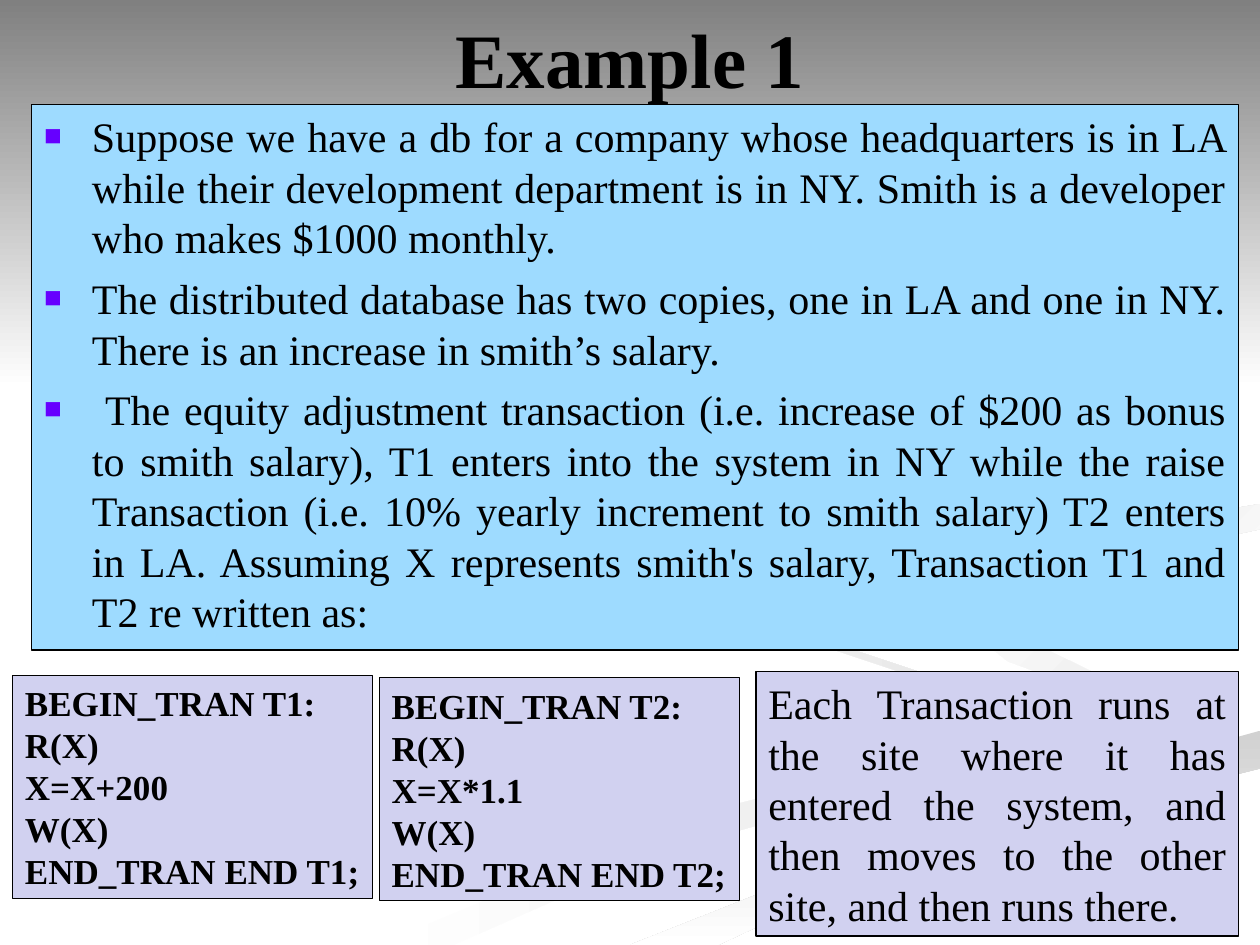
import pptx
import pptx.util
import pptx.dml.color
import pptx.enum.text
import pptx.enum.shapes
from lxml import etree

Inches = pptx.util.Inches
Pt = pptx.util.Pt
ALIGN = pptx.enum.text.PP_ALIGN
ANCHOR = pptx.enum.text.MSO_ANCHOR
FIT = pptx.enum.text.MSO_AUTO_SIZE
FONT = "Times New Roman"
WIDTH, HEIGHT = 10, 7.5

# Content
TITLE = "Example 1"
STORY = [
    "Suppose we have a db for a company whose headquarters is in LA while their "
    "development department is in NY. Smith is a developer who makes $1000 monthly. ",
    "The distributed database has two copies, one in LA and one in NY. "
    "There is an increase in smith’s salary.",
    " The equity adjustment transaction (i.e. increase of $200 as bonus to smith salary), "
    "T1 enters into the system in NY while the raise Transaction (i.e. 10% yearly increment "
    "to smith salary) T2 enters in LA. Assuming X represents smith's salary, "
    "Transaction T1 and T2 re written as:",
]
# name, update step, left, top
TRANSACTIONS = [("T1", "X=X+200", 0.1, 5.36), ("T2", "X=X*1.1", 3.01, 5.38)]
REMARK = ("Each Transaction runs at the site where it has entered the system, "
          "and then moves to the other site, and then runs there.")

# Background ribbons: gradient start, gradient end, clockwise angle, outline
RIBBONS = [
    ("FFFFFF", "E8E8E8", 0, [
        (5.75, 4.6), (6.3, 5.05), (7.8, 5.55), (7.3, 6), (5.4, 6.5), (3, HEIGHT),
        (3.6, HEIGHT), (5.3, 6.75), (7.8, 6.05), (7.8, 5.5), (6.3, 5)]),
    ("FFFFFF", "E8E8E8", 45, [
        (7.25, 4.65), (8, 5.25), (9.1, 5.65), (8.95, 6.05), (9.4, 5.7), (8.5, 5.25)]),
    ("D1D1D1", "FFFFFF", 90, [
        (5, HEIGHT), (5.7, HEIGHT), (7.2, 6.8), (WIDTH, 6.1), (WIDTH, 5.8), (7.65, 6.45)]),
    ("E0E0E0", "FFFFFF", 45, [
        (7.8, 4.6), (8.25, 4.95), (8.15, 4.6), (WIDTH, 4.2), (WIDTH, 4), (8.5, 4.25)]),
    ("808080", "FFFFFF", 90, [(0, 0), (0, 3.08), (WIDTH, 3.08), (WIDTH, 0)]),
]


def color(hex_code):
    return pptx.dml.color.RGBColor.from_string(hex_code)


def place(shape, left, top, width, height):
    shape.left, shape.top = Inches(left), Inches(top)
    shape.width, shape.height = Inches(width), Inches(height)


def frame_box(shape, fill):
    shape.fill.solid()
    shape.fill.fore_color.rgb = color(fill)
    shape.line.color.rgb = color("000000")
    shape.line.width = Pt(0.75)


def write(shape, lines, size, align, bold=False, anchor=ANCHOR.TOP):
    frame = shape.text_frame
    frame.text = "\n".join(lines)
    frame.vertical_anchor = anchor
    frame.auto_size = FIT.NONE
    for para in frame.paragraphs:
        para.alignment = align
        for span in para.runs:
            span.font.name = FONT
            span.font.size = Pt(size)
            span.font.bold = bold
            span.font.color.rgb = color("000000")


def add_bullet(para):
    properties = para._p.get_or_add_pPr()
    properties.set("marL", str(Inches(0.38)))
    properties.set("indent", str(-Inches(0.38)))
    namespace = "{http://schemas.openxmlformats.org/drawingml/2006/main}"
    bullet_color = etree.SubElement(properties, namespace + "buClr")
    etree.SubElement(bullet_color, namespace + "srgbClr", val="6600FF")
    etree.SubElement(properties, namespace + "buSzPct", val="70000")
    etree.SubElement(properties, namespace + "buFont", typeface=FONT)
    etree.SubElement(properties, namespace + "buChar", char="■")


def add_ribbon(page, start, end, angle, outline):
    points = [(Inches(x), Inches(y)) for x, y in outline]
    builder = page.shapes.build_freeform(*points[0])
    builder.add_line_segments(points[1:], close=True)
    ribbon = builder.convert_to_shape()
    ribbon.shadow.inherit = False
    ribbon.line.fill.background()
    ribbon.fill.gradient()
    ribbon.fill.gradient_angle = (360 - angle) % 360
    for stop, shade in zip(ribbon.fill.gradient_stops, (start, end)):
        stop.color.rgb = color(shade)
    # Keep the background behind the placeholders
    page.shapes.title.element.addprevious(ribbon.element)


def add_panel(page, lines, left, top, width, height, size, align, bold, wrap):
    panel = page.shapes.add_shape(
        pptx.enum.shapes.MSO_SHAPE.RECTANGLE,
        Inches(left), Inches(top), Inches(width), Inches(height))
    panel.shadow.inherit = False
    frame_box(panel, "D1D1F0")
    write(panel, lines, size, align, bold)
    panel.text_frame.word_wrap = wrap


def main():
    deck = pptx.Presentation()
    deck.slide_width, deck.slide_height = Inches(WIDTH), Inches(HEIGHT)
    page = deck.slides.add_slide(deck.slide_layouts[1])

    # Background
    for ribbon in RIBBONS:
        add_ribbon(page, *ribbon)

    # Title
    title = page.shapes.title
    place(title, 0.5, -0.17, 9, 1.25)
    write(title, [TITLE], 44, ALIGN.CENTER, True, ANCHOR.MIDDLE)

    # Story list
    body = page.placeholders[1]
    place(body, 0.25, 0.83, 9.58, 4.33)
    frame_box(body, "9EDBFF")
    write(body, STORY, 24, ALIGN.JUSTIFY)
    for number, para in enumerate(body.text_frame.paragraphs):
        add_bullet(para)
        para.space_before = Pt(6 if number else 0)

    # Transactions and remark
    for name, step, left, top in TRANSACTIONS:
        code = [f"BEGIN_TRAN {name}:", "R(X)", step, "W(X)", f"END_TRAN END {name};"]
        add_panel(page, code, left, top, 2.86, 1.77, 20, ALIGN.LEFT, True, False)
    add_panel(page, [REMARK], 6, 5.33, 3.83, 2.1, 24, ALIGN.JUSTIFY, False, True)

    deck.save("out.pptx")


if __name__ == "__main__":
    main()
